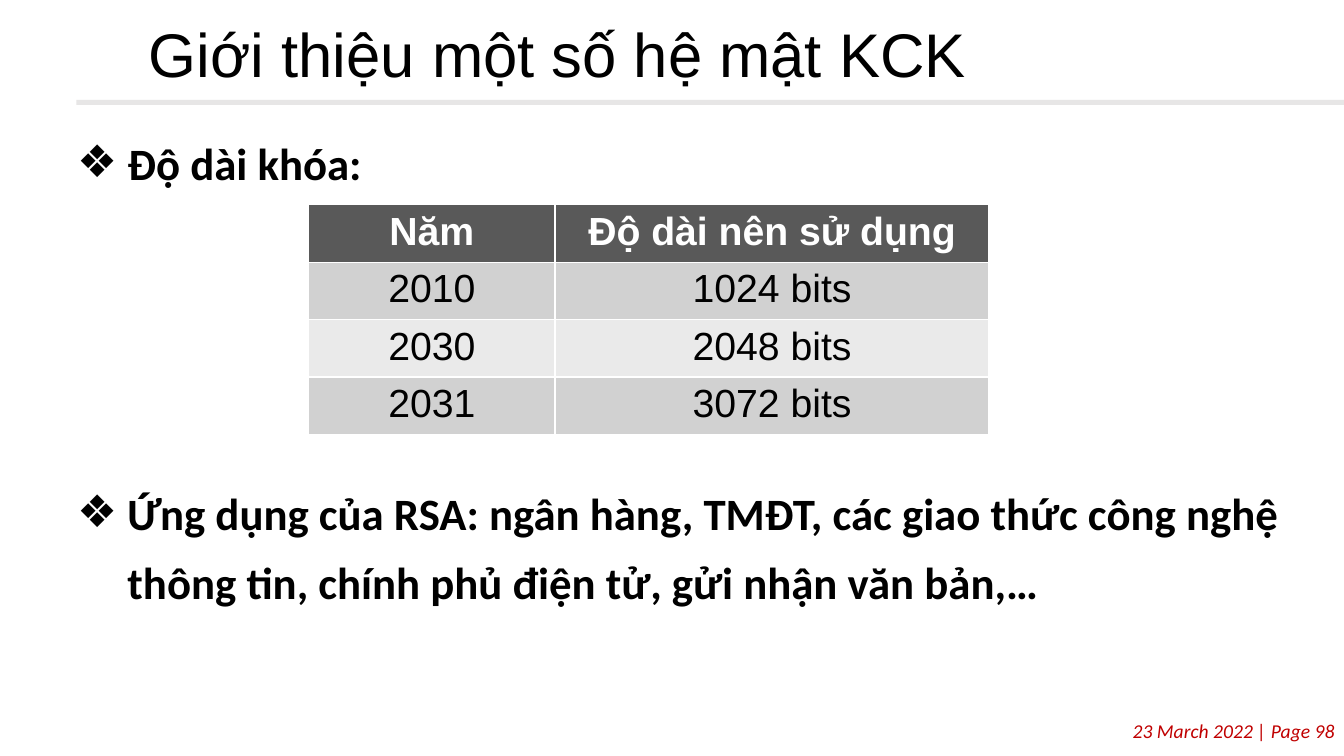
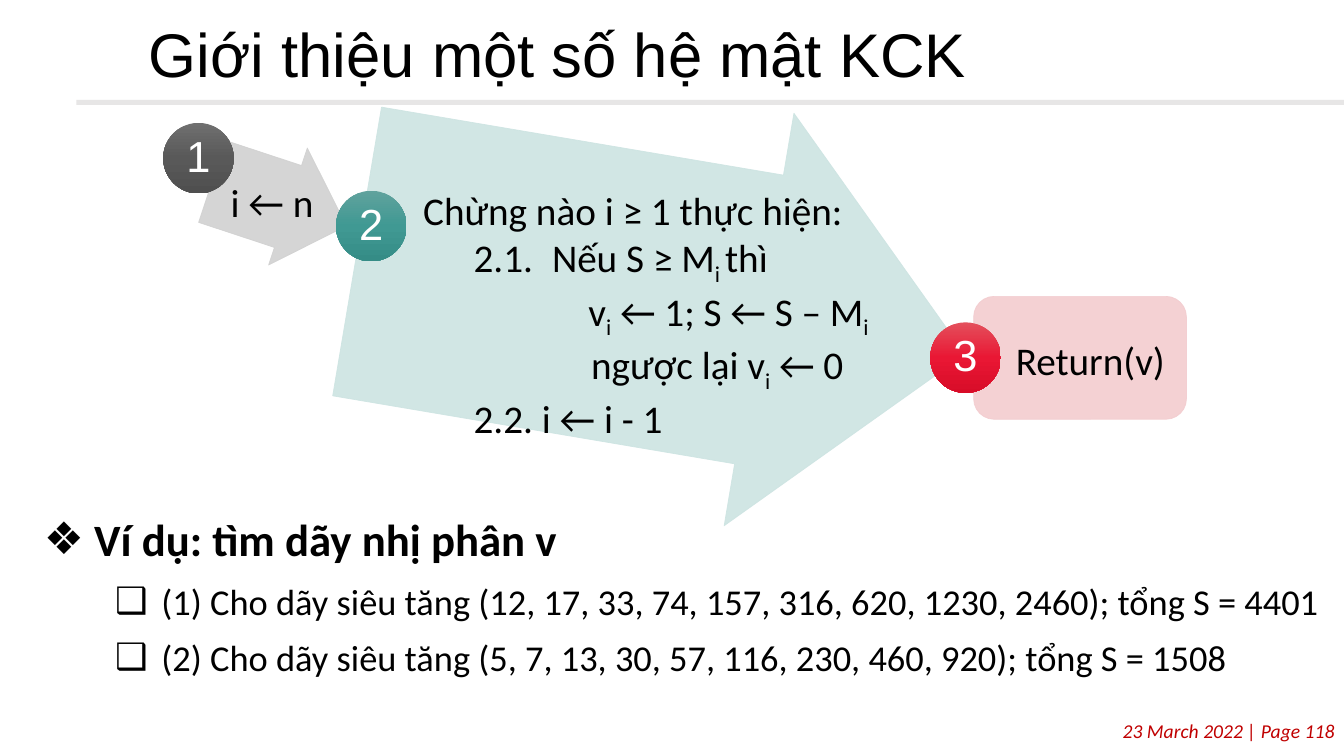
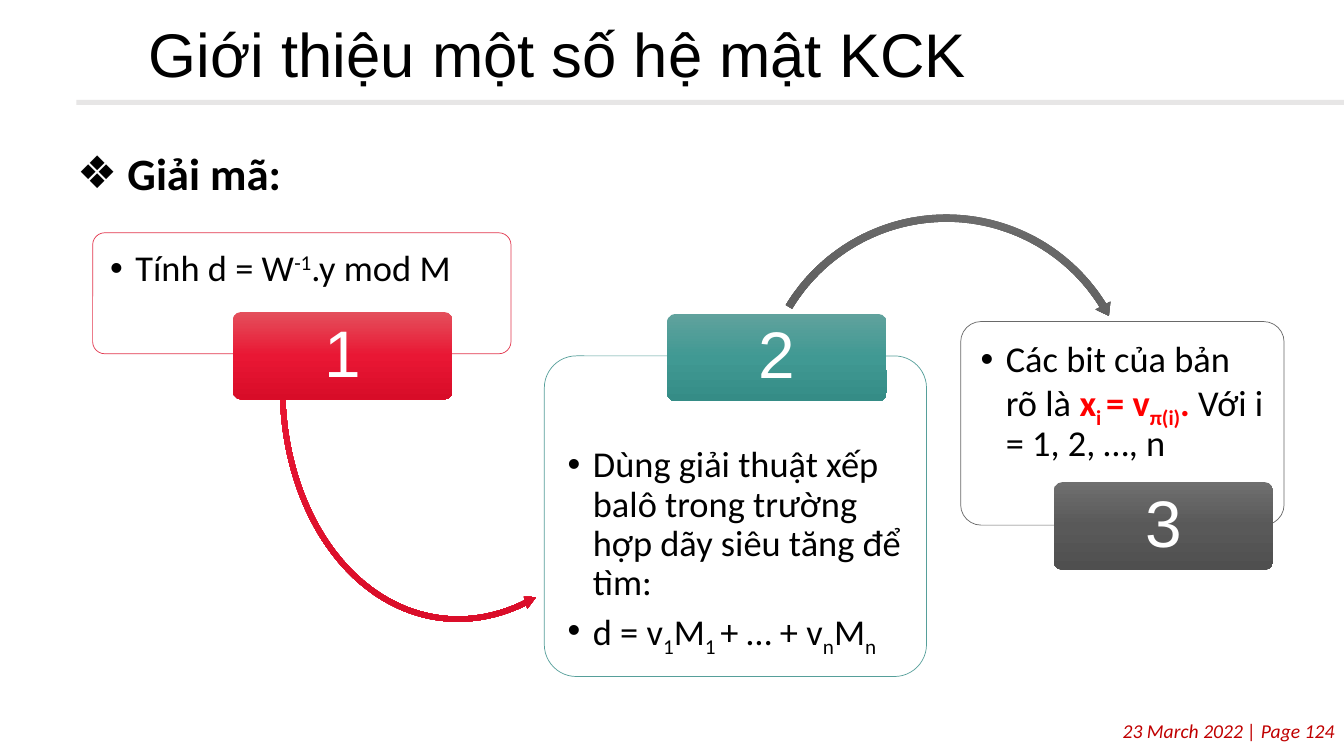
"""Build three slides on public-key ciphers: key sizes, the knapsack steps and decryption."""
from copy import deepcopy
from dataclasses import dataclass, field
from typing import Any

from pptx import Presentation
from pptx.dml.color import RGBColor as Rgb
from pptx.enum.shapes import MSO_SHAPE as Kind
from pptx.enum.text import MSO_ANCHOR as Anchor, PP_ALIGN as Align
from pptx.oxml.ns import qn
from pptx.oxml.xmlchemy import OxmlElement as make
from pptx.shapes.autoshape import Shape
from pptx.slide import Slide
from pptx.text.text import TextFrame
from pptx.util import Pt

BLACK = Rgb(0x00, 0x00, 0x00)
WHITE = Rgb(0xFF, 0xFF, 0xFF)
RED = Rgb(0xFF, 0x00, 0x00)
WINE = Rgb(0xC0, 0x00, 0x00)
RULE = Rgb(0xE7, 0xE6, 0xE6)
HEAD = Rgb(0x59, 0x59, 0x59)
STRIPES = (Rgb(0xD1, 0xD1, 0xD1), Rgb(0xEA, 0xEA, 0xEA))


@dataclass(frozen=True)
class Hue:
    """A theme hue: three gradient stops, a pale tint and an edge."""
    stops: tuple[Rgb, Rgb, Rgb]
    pale: Rgb
    edge: Rgb


GREY = Hue((Rgb(0x6F, 0x6F, 0x6F), HEAD, Rgb(0x4F, 0x4F, 0x4F)), STRIPES[0], HEAD)
TEAL = Hue((Rgb(0x60, 0xA2, 0x9D), Rgb(0x40, 0x99, 0x93), Rgb(0x35, 0x8C, 0x86)),
           Rgb(0xCD, 0xE4, 0xE2), Rgb(0x44, 0x95, 0x90))
ROSE = Hue((Rgb(0xE4, 0x50, 0x5C), Rgb(0xE9, 0x17, 0x34), Rgb(0xD8, 0x0C, 0x28)),
           Rgb(0xF3, 0xCC, 0xCF), Rgb(0xDF, 0x21, 0x3B))


@dataclass(frozen=True)
class Box:
    """A frame in points, with its turn in degrees."""
    left: float
    top: float
    width: float
    height: float
    turn: float = 0


@dataclass(frozen=True)
class Run:
    """A stretch of text; shift is the baseline in percent."""
    text: str
    shift: int = 0
    tint: Rgb | None = None
    bold: bool = False


@dataclass(frozen=True)
class Para:
    """A paragraph with its font, indents and spacing."""
    runs: tuple[Run, ...]
    size: float
    name: str = "Calibri"
    tint: Rgb = BLACK
    bold: bool = False
    slant: bool = False
    left: float = 0
    hang: float = 0
    mark: str = ""
    form: dict[str, Any] = field(default_factory=dict)


def put(item: Any, vals: dict[str, Any]) -> None:
    """Set each named value on the item."""
    for key, val in vals.items():
        setattr(item, key, val)


def sub(text: str, **look: Any) -> Run:
    """Return a subscript run."""
    return Run(text, -25, **look)


def edges(side: float, top: float) -> dict[str, Any]:
    """Return frame margins."""
    return {"margin_left": Pt(side), "margin_right": Pt(side),
            "margin_top": Pt(top), "margin_bottom": Pt(top)}


def write(frame: TextFrame, paras: list[Para], **form: Any) -> None:
    """Write paragraphs into a text frame."""
    put(frame, {"word_wrap": True, "vertical_anchor": Anchor.TOP, **form})
    for spot, para in enumerate(paras):
        line = frame.add_paragraph() if spot else frame.paragraphs[0]
        put(line, {"alignment": Align.LEFT, **para.form})
        props = line._p.get_or_add_pPr()
        props.set("marL", str(Pt(para.left)))
        props.set("indent", str(Pt(para.hang)))
        if para.mark:
            face, mark = make("a:buFont"), make("a:buChar")
            face.set("typeface", "Arial")
            mark.set("char", para.mark)
            props.extend((face, mark))
        for part in para.runs:
            run = line.add_run()
            run.text = part.text
            put(run.font, {"name": para.name, "size": Pt(para.size),
                           "bold": para.bold or part.bold, "italic": para.slant})
            run.font.color.rgb = part.tint or para.tint
            if part.shift:
                run._r.get_or_add_rPr().set("baseline", str(part.shift * 1000))


def note(slide: Slide, box: Box, paras: list[Para], **form: Any) -> None:
    """Add a text box."""
    area = slide.shapes.add_textbox(Pt(box.left), Pt(box.top), Pt(box.width), Pt(box.height))
    write(area.text_frame, paras, **form)


def draw(slide: Slide, kind: Kind, box: Box, tint: Rgb | Hue, edge: Rgb | None = None,
         bends: tuple[float, ...] = (), clear: bool = False) -> Shape:
    """Add a shape with a plain or gradient fill."""
    shape = slide.shapes.add_shape(kind, Pt(box.left), Pt(box.top), Pt(box.width), Pt(box.height))
    shape.rotation = box.turn
    shape.shadow.inherit = False
    for spot, bend in enumerate(bends):
        shape.adjustments[spot] = bend
    if isinstance(tint, Hue):
        shape.fill.gradient()
        shape.fill.gradient_angle = 270
        group = shape.element.spPr.find(".//" + qn("a:gsLst"))
        group.append(deepcopy(group[0]))
        for spot, stop in enumerate(shape.fill.gradient_stops):
            stop.color.rgb = tint.stops[spot]
            stop.position = spot / 2
    else:
        shape.fill.solid()
        shape.fill.fore_color.rgb = tint
    if edge is None:
        shape.line.fill.background()
    else:
        shape.line.color.rgb = edge
        shape.line.width = Pt(0.5)
    if clear:
        for node in list(shape.element.spPr.iter(qn("a:srgbClr"))):
            alpha = make("a:alpha")
            alpha.set("val", "90000")
            node.append(alpha)
    return shape


def badge(slide: Slide, kind: Kind, box: Box, hue: Hue, text: str, size: float,
          bends: tuple[float, ...] = ()) -> None:
    """Add a numbered gradient badge."""
    shape = draw(slide, kind, box, hue, bends=bends)
    para = Para((Run(text),), size, "Arial", WHITE,
                form={"alignment": Align.CENTER, "line_spacing": 0.9})
    write(shape.text_frame, [para], vertical_anchor=Anchor.MIDDLE, **edges(1.5, 1.5))


def disc(slide: Slide, left: float, top: float, hue: Hue, text: str) -> None:
    """Add a round step number."""
    badge(slide, Kind.OVAL, Box(left, top, 50.4, 50.4), hue, text, 31)


def plate(slide: Slide, left: float, top: float, hue: Hue, text: str) -> None:
    """Add a wide step number."""
    badge(slide, Kind.ROUNDED_RECTANGLE, Box(left, top, 157, 62.6), hue, text, 47, (0.1,))


def panel(slide: Slide, box: Box, hue: Hue, paras: list[Para], drop: float = 10) -> None:
    """Add an outlined panel with bulleted text."""
    shape = draw(slide, Kind.ROUNDED_RECTANGLE, box, WHITE, hue.edge, (0.1,), True)
    write(shape.text_frame, paras, **{**edges(10, 10), "margin_top": Pt(drop)})


def topic(text: str, **form: Any) -> Para:
    """Return a bold first-level bullet."""
    return Para((Run(text),), 32, bold=True, left=48, hang=-36, mark="❖",
                form={"line_spacing": 1.3, **form})


def task(text: str) -> Para:
    """Return a second-level bullet."""
    return Para((Run(text),), 26, left=96, hang=-33, mark="❑", form={"line_spacing": 1.3})


def point(*runs: Run, **form: Any) -> Para:
    """Return a panel bullet."""
    return Para(runs, 26, left=18, hang=-18, mark="•", form={"line_spacing": 0.9, **form})


def step(*runs: Run, left: float = 0, hang: float = 0) -> Para:
    """Return a line of the procedure."""
    return Para(runs, 28, left=left, hang=hang)


def begin(deck: Any, page: int) -> Slide:
    """Add a slide with the shared footer, rule and title."""
    slide = deck.slides.add_slide(deck.slide_layouts[6])
    note(slide, Box(3.6, 510, 957, 24.5),
         [Para((Run(f"23 March 2022 | Page {page}"),), 14, tint=WINE, slant=True,
               form={"alignment": Align.RIGHT})])
    draw(slide, Kind.RECTANGLE, Box(54.5, 71.3, 905.5, 3.6), RULE)
    note(slide, Box(87, 13.7, 868, 56),
         [Para((Run("Giới thiệu một số hệ mật KCK"),), 44, "Arial", form={"line_spacing": 0.9})],
         margin_left=Pt(19.4))
    return slide


def body(slide: Slide, box: Box, paras: list[Para]) -> None:
    """Add the main bulleted text."""
    note(slide, box, paras, **edges(7.2, 7.2))


def sizes(slide: Slide) -> None:
    """Draw the key size table and its bullets."""
    body(slide, Box(36, 78, 911.5, 421), [
        topic("Độ dài khóa:"),
        topic("Ứng dụng của RSA: ngân hàng, TMĐT, các giao thức công nghệ thông tin, "
              "chính phủ điện tử, gửi nhận văn bản,…", space_before=Pt(200)),
    ])
    rows = (("Năm", "Độ dài nên sử dụng"), ("2010", "1024 bits"),
            ("2030", "2048 bits"), ("2031", "3072 bits"))
    grid = slide.shapes.add_table(4, 2, Pt(220.5), Pt(146.3), Pt(486), Pt(164)).table
    for col, width in zip(grid.columns, (176, 310)):
        col.width = Pt(width)
    for down, row in enumerate(rows):
        grid.rows[down].height = Pt(41)
        for across, text in enumerate(row):
            cell = grid.cell(down, across)
            cell.fill.solid()
            cell.fill.fore_color.rgb = STRIPES[(down - 1) % 2] if down else HEAD
            write(cell.text_frame,
                  [Para((Run(text),), 28, "Arial", BLACK if down else WHITE, not down,
                        form={"alignment": Align.CENTER})])


def steps(slide: Slide) -> None:
    """Draw the three knapsack steps and the examples."""
    body(slide, Box(12.2, 347, 942.5, 185), [
        topic("Ví dụ: tìm dãy nhị phân v"),
        task("(1) Cho dãy siêu tăng (12, 17, 33, 74, 157, 316, 620, 1230, 2460); tổng S = 4401"),
        task("(2) Cho dãy siêu tăng (5, 7, 13, 30, 57, 116, 230, 460, 920); tổng S = 1508"),
    ])
    arrow, bends = Kind.RIGHT_ARROW, (0.7, 0.5)
    draw(slide, arrow, Box(149, 101.5, 101, 88, 18.3), GREY.pale, GREY.pale, bends, True)
    disc(slide, 116.6, 87.8, GREY, "1")
    draw(slide, arrow, Box(252, 67, 440.6, 298.8, 9.6), TEAL.pale, TEAL.pale, bends, True)
    disc(slide, 240, 136.3, TEAL, "2")
    draw(slide, Kind.ROUNDED_RECTANGLE, Box(695.5, 211.7, 152, 87.8),
         ROSE.pale, ROSE.pale, clear=True)
    disc(slide, 664.5, 230.3, ROSE, "3")
    note(slide, Box(295.2, 129.6, 366.5, 177), [
        step(Run("Chừng nào i ≥ 1 thực hiện:")),
        step(Run("2.1.\tNếu S ≥ M"), sub("i "), Run("thì"), left=92, hang=-56),
        step(Run("v"), sub("i"), Run(" ← 1; S ← S – M"), sub("i"), left=118),
        step(Run("ngược lại v"), sub("i"), Run(" ← 0"), left=120),
        step(Run("2.2. i ← i - 1"), left=36),
    ])
    note(slide, Box(157.7, 123.8, 78, 41), [step(Run("i ← n"))])
    note(slide, Box(718.5, 237, 174, 41), [step(Run("Return(v)"))])


def decode(slide: Slide) -> None:
    """Draw the decryption flow."""
    body(slide, Box(36, 85.7, 911.5, 57), [topic("Giải mã:")])
    panel(slide, Box(66.2, 166.3, 298.8, 86.4), ROSE,
          [point(Run("Tính d = W"), Run("-1", 30), Run(".y mod M"))])
    draw(slide, Kind.LEFT_CIRCULAR_ARROW, Box(198, 83.5, 275, 363.6, 6.2), ROSE,
         bends=(0.014, 1.654, 42.12, 112.956, 0.016))
    plate(slide, 166.3, 222.8, ROSE, "1")
    panel(slide, Box(388.8, 254.2, 273, 229), TEAL, [
        point(Run("Dùng giải thuật xếp balô trong trường hợp dãy siêu tăng để tìm:"),
              space_after=Pt(4.5)),
        point(Run("d = v"), sub("1"), Run("M"), sub("1 "), Run("+ … + v"), sub("n"),
              Run("M"), sub("n")),
    ], 58)
    draw(slide, Kind.CIRCULAR_ARROW, Box(538.5, 149.8, 275, 275, 7.9), GREY,
         bends=(0.019, 2.21, 192.259, 121.979, 0.022))
    plate(slide, 476.4, 224.2, TEAL, "2")
    hot = {"tint": RED, "bold": True}
    panel(slide, Box(686.2, 229.7, 231, 145.4), GREY, [
        point(Run("Các bit của bản rõ là "), Run("x", **hot), sub("i ", **hot),
              Run("= v", **hot), sub("π(i)", **hot), Run(". ", **hot),
              Run("Với i = 1, 2, …, n")),
    ])
    plate(slide, 752.6, 344.4, GREY, "3")


def main() -> None:
    """Build and save the deck."""
    deck = Presentation()
    put(deck, {"slide_width": Pt(960), "slide_height": Pt(540)})
    for page, fill in ((98, sizes), (118, steps), (124, decode)):
        fill(begin(deck, page))
    deck.save("out.pptx")


if __name__ == "__main__":
    main()
